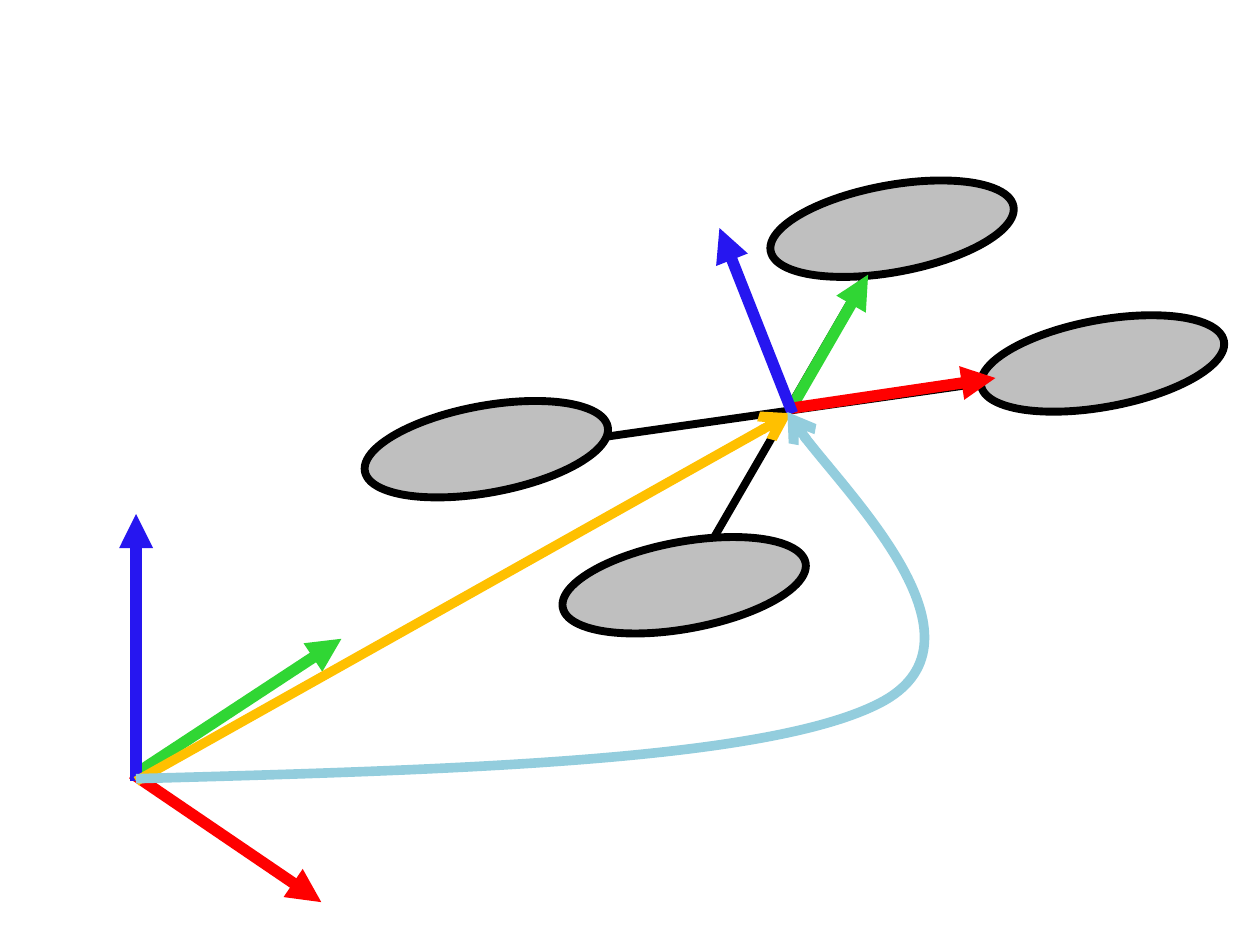
import pptx
import pptx.dml.color
import pptx.enum.shapes
import pptx.oxml
import pptx.oxml.ns
import pptx.util

PX = 9144
COLORS = {
    "frame": "000000",
    "rotor": "BFBFBF",
    "x": "FF0000",
    "y": "30D634",
    "z": "2616F0",
    "translation": "FFC000",
    "rotation": "93CDDD",
}
qn = pptx.oxml.ns.qn


class Sketch:
    frame_width = 4.5
    axis_width = 6.5
    pose_width = 5.5
    rotor_size = (196, 69)
    rotor_tilt = 349.6

    def __init__(self, slide):
        self.slide = slide

    def rgb(self, name):
        return pptx.dml.color.RGBColor.from_string(COLORS[name])

    def stroke(self, sp, color, width, tail=None):
        sp.line.color.rgb = self.rgb(color)
        sp.line.width = pptx.util.Pt(width)
        if tail:
            ln = sp.line._get_or_add_ln()
            pptx.oxml.parse_xml(
                f'<a:ln {pptx.oxml.ns.nsdecls("a")}><a:tailEnd type="{tail}"/></a:ln>'
            )
            ln.append(ln.makeelement(qn("a:tailEnd"), {"type": tail}))

    def line(self, start, end, color, width, tail=None):
        sp = self.slide.shapes.add_connector(
            pptx.enum.shapes.MSO_CONNECTOR.STRAIGHT,
            *(v * PX for v in (*start, *end)),
        )
        self.stroke(sp, color, width, tail)
        props = sp._element.spPr
        props.append(props.makeelement(qn("a:effectLst"), {}))

    def rotor(self, left, top):
        sp = self.slide.shapes.add_shape(
            pptx.enum.shapes.MSO_SHAPE.OVAL,
            *(v * PX for v in (left, top, *self.rotor_size)),
        )
        sp.rotation = self.rotor_tilt
        sp.shadow.inherit = False
        sp.fill.solid()
        sp.fill.fore_color.rgb = self.rgb("rotor")
        self.stroke(sp, "frame", self.frame_width)

    def curve(self, start, points, right, color, width, tail):
        builder = self.slide.shapes.build_freeform(*start, scale=PX)
        builder.add_line_segments(points, close=False)
        sp = builder.convert_to_shape()
        path = next(sp._element.iter(qn("a:path")))
        segments = path.findall(qn("a:lnTo"))
        for i in range(0, len(segments), 3):
            bezier = path.makeelement(qn("a:cubicBezTo"), {})
            for segment in segments[i:i + 3]:
                bezier.append(segment[0])
                path.remove(segment)
            path.append(bezier)
        span = right - start[0]
        path.set("w", str(round(int(path.get("w")) * span * PX / sp.width)))
        sp.width = span * PX
        sp.shadow.inherit = False
        sp.fill.background()
        self.stroke(sp, color, width, tail)


def main():
    prs = pptx.Presentation()
    prs.slide_width = pptx.util.Inches(10)
    prs.slide_height = pptx.util.Inches(7.5)
    s = Sketch(prs.slides.add_slide(prs.slide_layouts[6]))

    for start, end in [((289, 374), (941, 281)), ((545, 464), (720, 162))]:
        s.line(start, end, "frame", s.frame_width)

    for left, top in [(288, 322), (610, 147), (445, 430), (777, 254)]:
        s.rotor(left, top)

    body_axes = [
        ("y", (629, 322), (689, 218)),
        ("x", (628, 324), (790, 300)),
        ("z", (629, 328), (571, 181)),
    ]
    world_axes = [
        ("y", (108, 614), (271, 507)),
        ("x", (105, 614), (255, 716)),
        ("z", (108, 620), (108, 408)),
    ]
    for axis, start, end in body_axes + world_axes:
        s.line(start, end, axis, s.axis_width, "triangle")

    s.line((108, 620), (628, 328), "translation", s.pose_width, "arrow")
    s.curve(
        (108, 618),
        [(362, 611), (616, 604), (702, 556), (788, 507), (637, 353), (625, 327)],
        728, "rotation", s.pose_width, "arrow",
    )
    prs.save("out.pptx")


if __name__ == "__main__":
    main()
